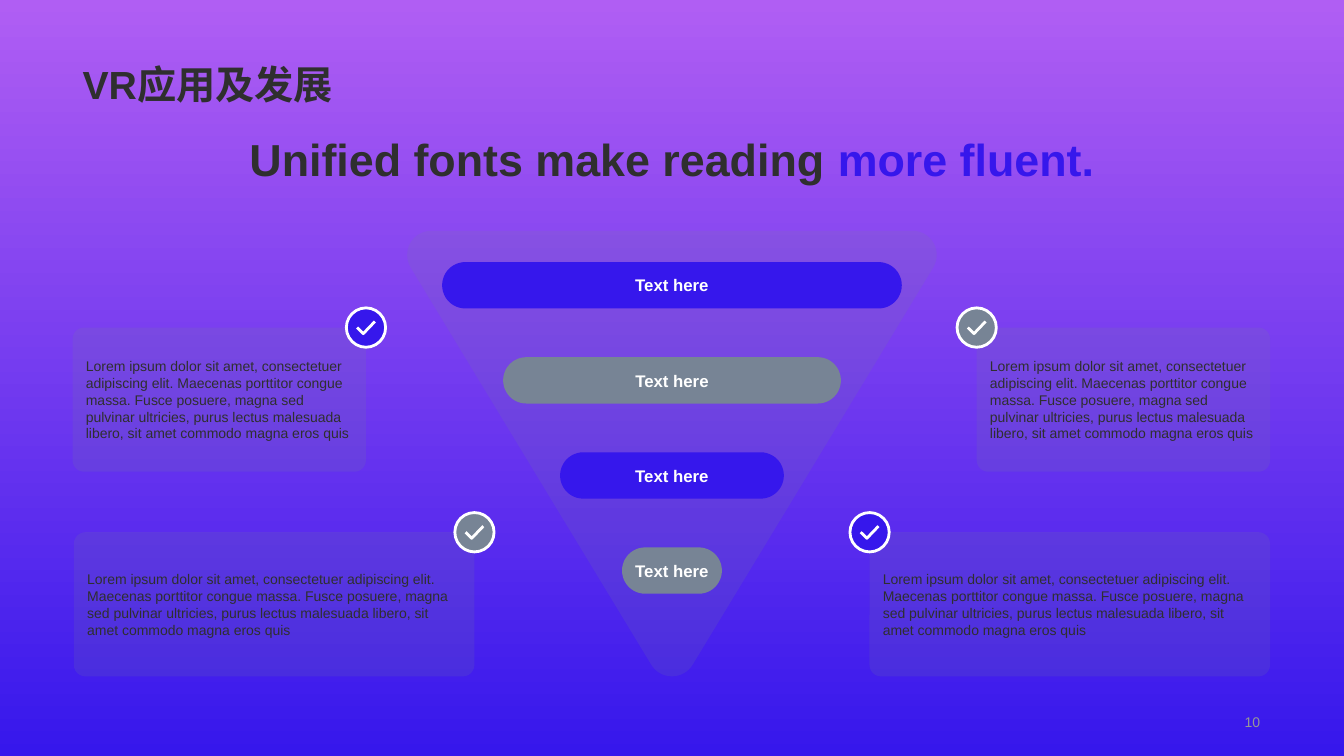
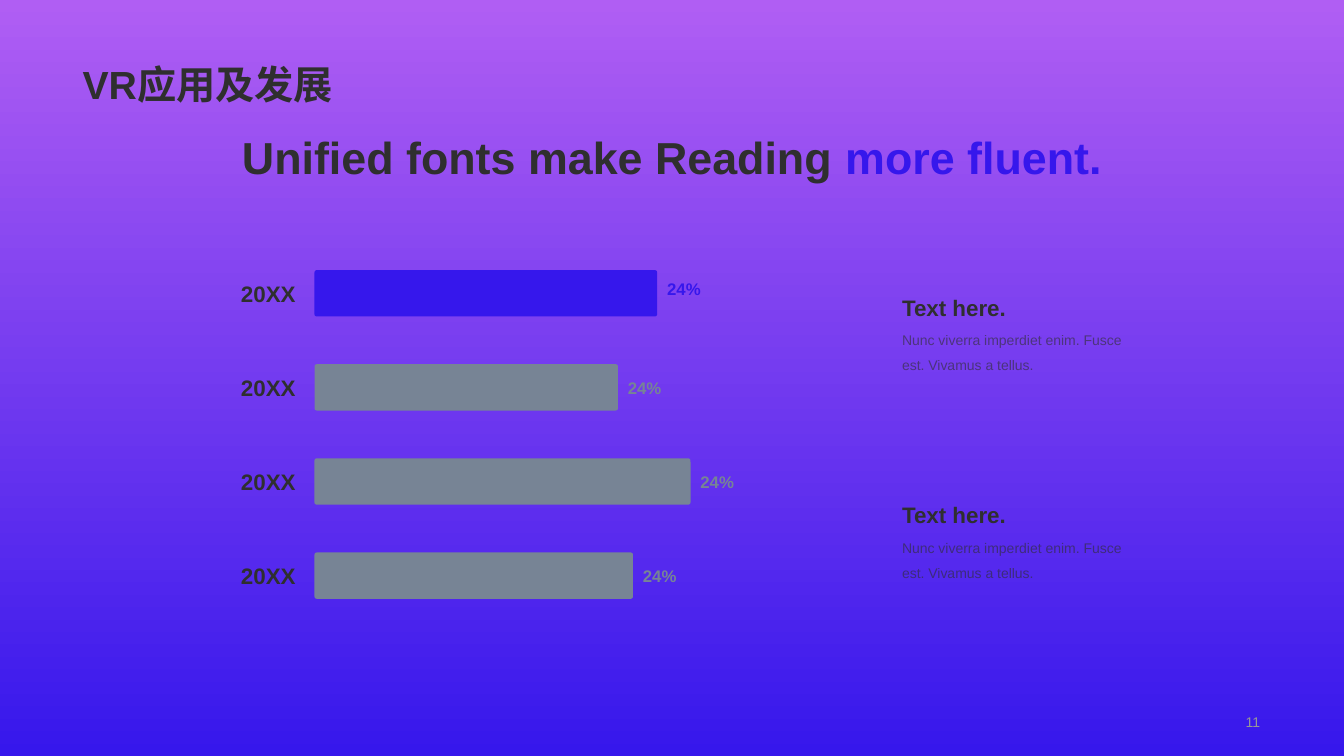
from dataclasses import dataclass
from math import cos, radians, sin

from lxml import etree
from pptx import Presentation
from pptx.dml.color import RGBColor
from pptx.enum.shapes import MSO_SHAPE
from pptx.enum.text import MSO_ANCHOR, MSO_AUTO_SIZE, PP_ALIGN
from pptx.oxml.ns import qn
from pptx.util import Inches, Pt

ROUNDED = MSO_SHAPE.ROUNDED_RECTANGLE
OVAL = MSO_SHAPE.OVAL
LEFT, CENTER, RIGHT = PP_ALIGN.LEFT, PP_ALIGN.CENTER, PP_ALIGN.RIGHT
TOP, MIDDLE, BOTTOM = MSO_ANCHOR.TOP, MSO_ANCHOR.MIDDLE, MSO_ANCHOR.BOTTOM
FIXED_SIZE = MSO_AUTO_SIZE.NONE
TITLE_ONLY = 5


@dataclass(frozen=True)
class Theme:
    font: str = "Arial"
    ink: str = "2F2F2F"
    blue: str = "3617EC"
    gray: str = "778495"
    purple: str = "B05EF3"
    white: str = "FFFFFF"
    muted: str = "979797"
    title: int = 28
    headline: int = 32
    heading: int = 16
    label: int = 12
    body: int = 10
    panel_opacity: int = 15
    text_opacity: int = 60


THEME = Theme()
LOREM = (
    "Lorem ipsum dolor sit amet, consectetuer adipiscing elit. Maecenas porttitor "
    "congue massa. Fusce posuere, magna sed pulvinar ultricies, purus lectus "
    "malesuada libero, sit amet commodo magna eros quis"
)
NUNC = "Nunc viverra imperdiet enim. Fusce est. Vivamus a tellus."


class Deck:
    """Draws on a grid of 100 columns and 100 rows that covers the slide."""

    def __init__(self):
        self.presentation = Presentation()
        self.presentation.slide_width = Inches(13.33)
        self.presentation.slide_height = Inches(7.5)
        self.slide = None
        self.layout = self.presentation.slide_layouts[TITLE_ONLY]
        self.set_shared_style()

    def set_shared_style(self):
        fill = self.presentation.slide_master.background.fill
        fill.gradient()
        fill.gradient_angle = 90
        for stop, color in zip(fill.gradient_stops, (THEME.blue, THEME.purple)):
            stop.color.rgb = RGBColor.from_string(color)
        title = self.layout.placeholders[0]
        title.left, title.top, title.width, title.height = self.box(5.4, 0, 89.1, 14.93)

    # Grid
    def column(self, count):
        return round(self.presentation.slide_width * count / 100)

    def row(self, count):
        return round(self.presentation.slide_height * count / 100)

    def box(self, left, top, width, height):
        return self.column(left), self.row(top), self.column(width), self.row(height)

    # Formatting
    def set_font(self, font, size, color, bold=False):
        font.name, font.size, font.bold = THEME.font, Pt(size), bold
        font.color.rgb = RGBColor.from_string(color)

    def set_opacity(self, shape, place, percent):
        for color in shape.element.xpath(f"./{place}//a:srgbClr"):
            etree.SubElement(color, qn("a:alpha"), val=str(percent * 1000))

    def paint(self, shape, fill, opacity=100):
        shape.shadow.inherit = False
        shape.fill.solid()
        shape.fill.fore_color.rgb = RGBColor.from_string(fill)
        if opacity < 100:
            self.set_opacity(shape, "p:spPr", opacity)
        shape.line.fill.background()

    def set_text(self, shape, text, size, color, bold=False, align=LEFT, anchor=TOP,
                 wrap=True):
        frame = shape.text_frame
        frame.word_wrap, frame.vertical_anchor = wrap, anchor
        frame.auto_size = FIXED_SIZE
        paragraph = frame.paragraphs[0]
        paragraph.text, paragraph.alignment = text, align
        self.set_font(paragraph.font, size, color, bold)
        return paragraph

    # Elements
    def start_slide(self, title, number):
        self.slide = self.presentation.slides.add_slide(self.layout)
        paragraph = self.set_text(self.slide.shapes.title, title, THEME.title, THEME.ink,
                                  bold=True, anchor=BOTTOM)
        paragraph.line_spacing = 0.9
        self.text(72.68, 93.87, 21.82, 3.2, str(number), THEME.body, THEME.muted,
                  align=RIGHT, anchor=MIDDLE)

    def text(self, left, top, width, height, text, size, color, **style):
        shape = self.slide.shapes.add_textbox(*self.box(left, top, width, height))
        self.set_text(shape, text, size, color, **style)
        return shape

    def headline(self, top, start, accent):
        shape = self.text(5.5, top, 89, 8.53, start, THEME.headline, THEME.ink,
                          bold=True, align=CENTER)
        run = shape.text_frame.paragraphs[0].add_run()
        run.text = accent
        run.font.color.rgb = RGBColor.from_string(THEME.blue)

    def rounded(self, left, top, width, height, rounding, fill, opacity=100):
        shape = self.slide.shapes.add_shape(ROUNDED, *self.box(left, top, width, height))
        shape.adjustments[0] = rounding
        self.paint(shape, fill, opacity)
        return shape

    def pill(self, top, width, fill, text):
        shape = self.rounded(50 - width / 2, top, width, 6.13, 0.5, fill)
        self.set_text(shape, text, THEME.label, THEME.white, bold=True, align=CENTER,
                      anchor=MIDDLE, wrap=False)

    def outline(self, points, close):
        points = [(self.column(x), self.row(y)) for x, y in points]
        builder = self.slide.shapes.build_freeform(*points[0])
        builder.add_line_segments(points[1:], close=close)
        shape = builder.convert_to_shape()
        shape.shadow.inherit = False
        return shape

    def white_line(self, shape):
        shape.line.color.rgb = RGBColor.from_string(THEME.white)
        shape.line.width = Pt(2)

    def funnel(self):
        # Each rounded corner: centre, then first angle and last angle
        corners = [((67.9, 33.73), -90, 31), ((50, 86.27), 31, 149),
                   ((32.1, 33.73), 149, 270)]
        steps = 16
        points = []
        for (x, y), first, last in corners:
            for step in range(steps + 1):
                angle = radians(first + (last - first) * step / steps)
                points.append((x + 1.8 * cos(angle), y + 3.2 * sin(angle)))
        self.paint(self.outline(points, close=True), THEME.gray, THEME.panel_opacity)

    def check(self, x, y, fill):
        width, height = 2.92, 5.2
        circle = self.slide.shapes.add_shape(
            OVAL, *self.box(x - width / 2, y - height / 2, width, height))
        self.paint(circle, fill)
        self.white_line(circle)
        tick = self.outline([(x + 0.66, y - 0.8), (x - 0.2, y + 0.8), (x - 0.66, y)],
                            close=False)
        tick.fill.background()
        self.white_line(tick)

    def card(self, left, top, width, text, check_x, check_fill):
        shape = self.rounded(left, top, width, 19.07, 0.08, THEME.gray,
                             THEME.panel_opacity)
        self.set_text(shape, text, THEME.body, THEME.ink, anchor=MIDDLE)
        self.check(check_x, top, check_fill)

    def bar(self, top, width, fill, label, value, value_drop):
        left = 23.4
        self.rounded(left, top, width, 6.13, 0.05, fill)
        self.text(15.38, top + 0.6, 7.35, 4.93, label, THEME.heading, THEME.ink,
                  bold=True, align=RIGHT)
        self.text(left + width, top + value_drop, 4.95, 4, value, THEME.label, fill,
                  bold=True)

    def note(self, top, heading, body):
        left, width = 66.38, 18.23
        title = self.text(left, top, width, 3.6, heading, THEME.heading, THEME.ink,
                          bold=True, anchor=BOTTOM)
        detail = self.text(left, top + 3.9, width, 6.27, body, THEME.body, THEME.ink)
        detail.text_frame.paragraphs[0].line_spacing = 1.5
        self.set_opacity(detail, "p:txBody", THEME.text_opacity)
        for shape in (title, detail):
            shape.text_frame.margin_top = shape.text_frame.margin_bottom = 0


def add_funnel_slide(deck):
    deck.start_slide("VR应用及发展", 10)
    deck.headline(16.8, "Unified fonts make reading ", "more fluent.")

    # Funnel and its levels
    deck.funnel()
    for level, width in enumerate((34.2, 25.13, 16.65, 7.43)):
        fill = THEME.gray if level % 2 else THEME.blue
        deck.pill(34.67 + 12.58 * level, width, fill, "Text here")

    # Cards, each with a check on its inner top corner
    cards = [
        (5.4, 43.33, 21.83, 27.23, THEME.blue),
        (72.67, 43.33, 21.83, 72.67, THEME.gray),
        (5.5, 70.4, 29.8, 35.3, THEME.gray),
        (64.7, 70.4, 29.8, 64.7, THEME.blue),
    ]
    for left, top, width, check_x, fill in cards:
        deck.card(left, top, width, LOREM, check_x, fill)


def add_bar_slide(deck):
    deck.start_slide("VR应用及发展", 11)
    deck.headline(16.53, "Unified fonts make Reading ", "more fluent.")

    # Bars: width, colour and drop of the value
    bars = [(25.5, THEME.blue, 0.53), (22.58, THEME.gray, 1.07),
            (27.98, THEME.gray, 1.07), (23.7, THEME.gray, 1.07)]
    for index, (width, fill, value_drop) in enumerate(bars):
        deck.bar(35.73 + 12.45 * index, width, fill, "20XX", "24%", value_drop)

    # Notes
    for top in (38.8, 66.3):
        deck.note(top, "Text here.", NUNC)


def main():
    deck = Deck()
    add_funnel_slide(deck)
    add_bar_slide(deck)
    deck.presentation.save("out.pptx")


if __name__ == "__main__":
    main()
